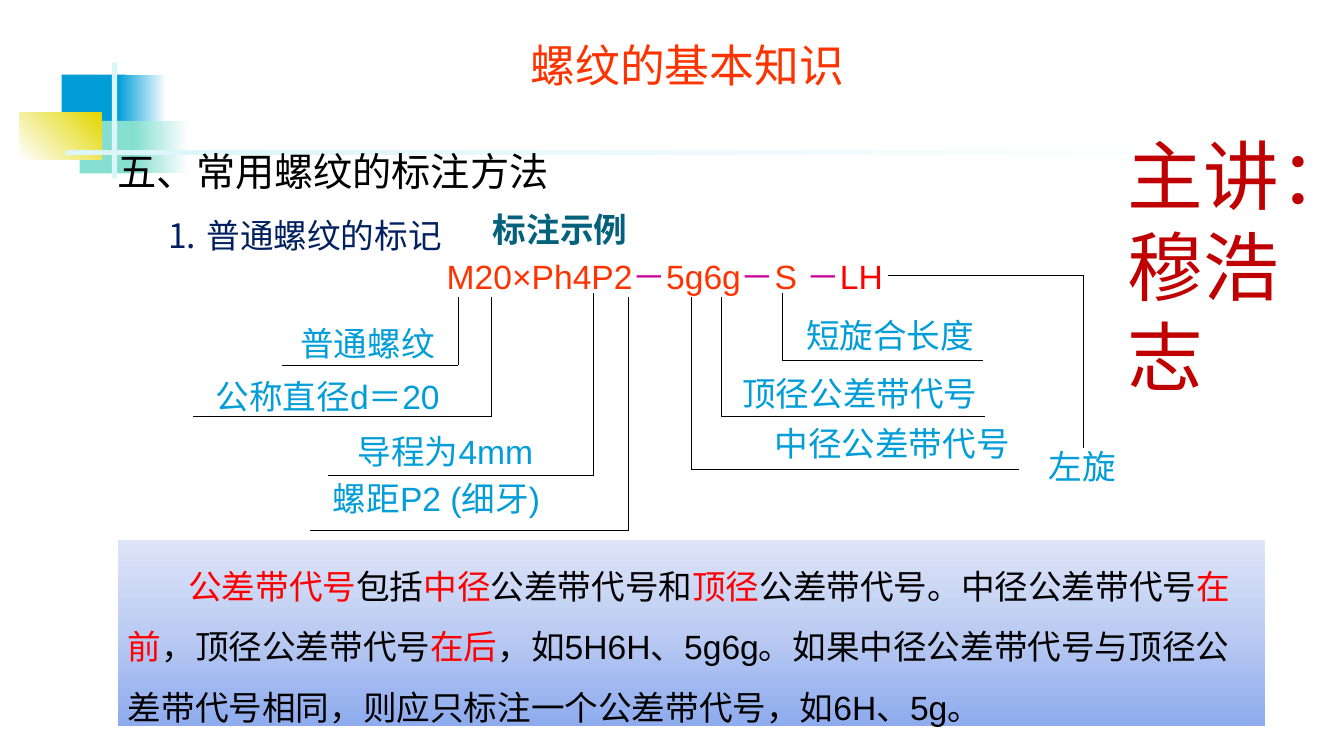
from lxml.etree import SubElement
from pptx import Presentation
from pptx.dml.color import RGBColor
from pptx.enum.shapes import MSO_CONNECTOR as CONN, MSO_SHAPE as SHAPE
from pptx.enum.text import MSO_ANCHOR as ANCHOR, PP_ALIGN as ALIGN
from pptx.oxml.ns import qn
from pptx.util import Inches, Pt

# Grid: 100 columns by 100 rows over the slide
COL, ROW = 13.333 / 100, 7.5 / 100
LABEL_ROWS = 6.8
LATIN, CJK = "Arial", "Noto Sans CJK SC"
C = {
    "white": "FFFFFF", "black": "000000", "blue": "009DD9", "mint": "85DFD0",
    "yellow": "E2D700", "ice": "DBF5F9", "teal": "04617B", "navy": "002060",
    "orange": "FF3300", "magenta": "CC0099", "red": "FF0000", "dark_red": "C00000",
    "note_low": "8EABEE", "note_mid": "BBCBF2", "note_high": "DEE5F8",
}

# Corner decoration: left, top, columns, rows, gradient stops, angle
DECOR = [
    (4.58, 9.87, 4.8, 6.93, ["blue"], 0),
    (8.78, 9.87, 3.6, 6.93, ["blue", "white"], 0),
    (5.93, 16, 4.65, 6.93, ["mint"], 0),
    (9.98, 16, 4.05, 6.93, ["mint", "white"], 0),
    (1.43, 14.93, 6.15, 6.13, ["white", "yellow"], 45),
    (8.33, 8.27, 0.38, 15.33, ["ice"], 0),
    (4.88, 19.87, 90, 0.67, ["ice", "white"], 0),
]

# Callouts: text, label left, top, columns, stem column, stem from and to, shelf end
CALLOUTS = [
    ("普通螺纹", 18.15, 42, 18.38, 34.1, 39.33, 48.3, 21),
    ("公称直径d＝20", 11.93, 48.93, 24.9, 36.6, 39.33, 55.1, 14.33),
    ("导程为4mm", 25.05, 56.27, 16.2, 44.18, 38.8, 62.93, 24.38),
    ("螺距P2 (细牙)", 21.15, 62.53, 22.65, 46.8, 39.33, 70.13, 23.1),
    ("短旋合长度", 54.75, 40.93, 22.95, 58.2, 38.8, 47.73, 73.13),
    ("顶径公差带代号", 51.3, 48.53, 25.35, 53.7, 39.33, 55.1, 73.28),
    ("中径公差带代号", 54.68, 55.2, 23.4, 51.45, 39.33, 62.13, 75.83),
    ("左旋", 76.05, 58.27, 8.93, 80.63, 59.2, 36.4, 66.08),
]

MARKING = [
    ("M20×Ph4P2", "orange"), ("－", "magenta"), ("5g6g", "orange"),
    ("－", "magenta"), ("S", "orange"), (" －", "magenta"), ("LH", "red"),
]

NOTE = [
    ("公差带代号", "red"), ("包括", "black"), ("中径", "red"),
    ("公差带代号和", "black"), ("顶径", "red"),
    ("公差带代号。中径公差带代号", "black"), ("在前", "red"),
    ("，顶径公差带代号", "black"), ("在后", "red"),
    ("，如5H6H、5g6g。如果中径公差带代号与顶径公差带代号相同，"
     "则应只标注一个公差带代号，如6H、5g。", "black"),
]


def rgb(name):
    return RGBColor.from_string(C[name])


def cells(left, top, cols, rows):
    return (Inches(left * COL), Inches(top * ROW),
            Inches(cols * COL), Inches(rows * ROW))


def paint(s, stops, angle):
    """One colour fills solid; several make an evenly spaced gradient."""
    if len(stops) == 1:
        s.fill.solid()
        s.fill.fore_color.rgb = rgb(stops[0])
        return
    s.fill.gradient()
    s.fill.gradient_angle = angle
    gs_list = s._element.spPr.find(".//" + qn("a:gsLst"))
    for gs in list(gs_list):
        gs_list.remove(gs)
    for i, name in enumerate(stops):
        gs = SubElement(gs_list, qn("a:gs"), pos=str(100000 * i // (len(stops) - 1)))
        SubElement(gs, qn("a:srgbClr"), val=C[name])


def add_block(slide, area, stops=(), angle=0):
    s = slide.shapes.add_shape(SHAPE.RECTANGLE, *cells(*area))
    s.shadow.inherit = False
    s.line.fill.background()
    if stops:
        paint(s, stops, angle)
    else:
        s.fill.background()
    return s


def write(s, runs, size=24, font=LATIN, align=ALIGN.LEFT,
          anchor=ANCHOR.TOP, wrap=True, bold=False):
    tf = s.text_frame
    tf.word_wrap = wrap
    tf.vertical_anchor = anchor
    p = tf.paragraphs[0]
    p.alignment = align
    for text, color in runs:
        r = p.add_run()
        r.text = text
        r.font.size, r.font.name, r.font.bold = Pt(size), font, bold
        r.font.color.rgb = rgb(color)
        SubElement(r._r.get_or_add_rPr(), qn("a:ea"), typeface=CJK)
    return p


def add_text(slide, area, runs, **style):
    return write(slide.shapes.add_textbox(*cells(*area)), runs, **style)


def add_line(slide, x1, y1, x2, y2):
    line = slide.shapes.add_connector(
        CONN.STRAIGHT, Inches(x1 * COL), Inches(y1 * ROW),
        Inches(x2 * COL), Inches(y2 * ROW))
    line.line.color.rgb = rgb("black")
    line.line.width = Pt(0.75)
    SubElement(line._element.spPr, qn("a:effectLst"))


def add_callout(slide, text, left, top, cols, stem, start, shelf, end):
    add_text(slide, (left, top, cols, LABEL_ROWS), [(text, "blue")],
             align=ALIGN.CENTER, anchor=ANCHOR.MIDDLE)
    add_line(slide, stem, start, stem, shelf)
    add_line(slide, stem, shelf, end, shelf)


def main():
    prs = Presentation()
    prs.slide_width, prs.slide_height = Inches(13.333), Inches(7.5)
    slide = prs.slides.add_slide(prs.slide_layouts[6])

    # Decoration and presenter
    for *area, stops, angle in DECOR:
        add_block(slide, area, stops, angle)
    add_text(slide, (83.18, 16.4, 15.15, 4.27), [("主讲：穆浩志", "dark_red")],
             size=54, font=CJK)

    # Thread marking with its callouts
    add_text(slide, (35.93, 26.93, 12.08, 6.93), [("标注示例", "teal")],
             font=CJK, bold=True)
    add_text(slide, (29.85, 33.07, 39.23, LABEL_ROWS), MARKING,
             align=ALIGN.CENTER, anchor=ANCHOR.MIDDLE)
    for callout in CALLOUTS:
        add_callout(slide, *callout)

    # Headings
    add_text(slide, (8.03, 18.8, 34.05, 7.6), [("五、常用螺纹的标注方法", "black")],
             size=28, wrap=False)
    p = add_text(slide, (11.78, 25.07, 22.05, 8.13), [("普通螺纹的标记", "navy")],
                 font=CJK, align=ALIGN.JUSTIFY, wrap=False)
    p.line_spacing = 1.5
    pPr = p._p.get_or_add_pPr()
    pPr.set("marL", str(Inches(0.38)))
    pPr.set("indent", str(-Inches(0.38)))
    SubElement(pPr, qn("a:buAutoNum"), type="arabicPeriod")

    # Explanation panel
    panel = add_block(slide, (8.78, 71.47, 85.35, 24.53),
                      ["note_low", "note_mid", "note_high"], 90)
    p = write(panel, NOTE)
    p.line_spacing = 1.5
    p._p.get_or_add_pPr().set("indent", str(Inches(0.6)))

    # Title
    title = add_block(slide, (26.1, 4.27, 50.1, 8.53))
    title.line.color.rgb = rgb("white")
    title.line.width = Pt(4.5)
    write(title, [("螺纹的基本知识", "orange")], size=32, font=CJK,
          align=ALIGN.CENTER, anchor=ANCHOR.MIDDLE)

    prs.save("out.pptx")


if __name__ == "__main__":
    main()
